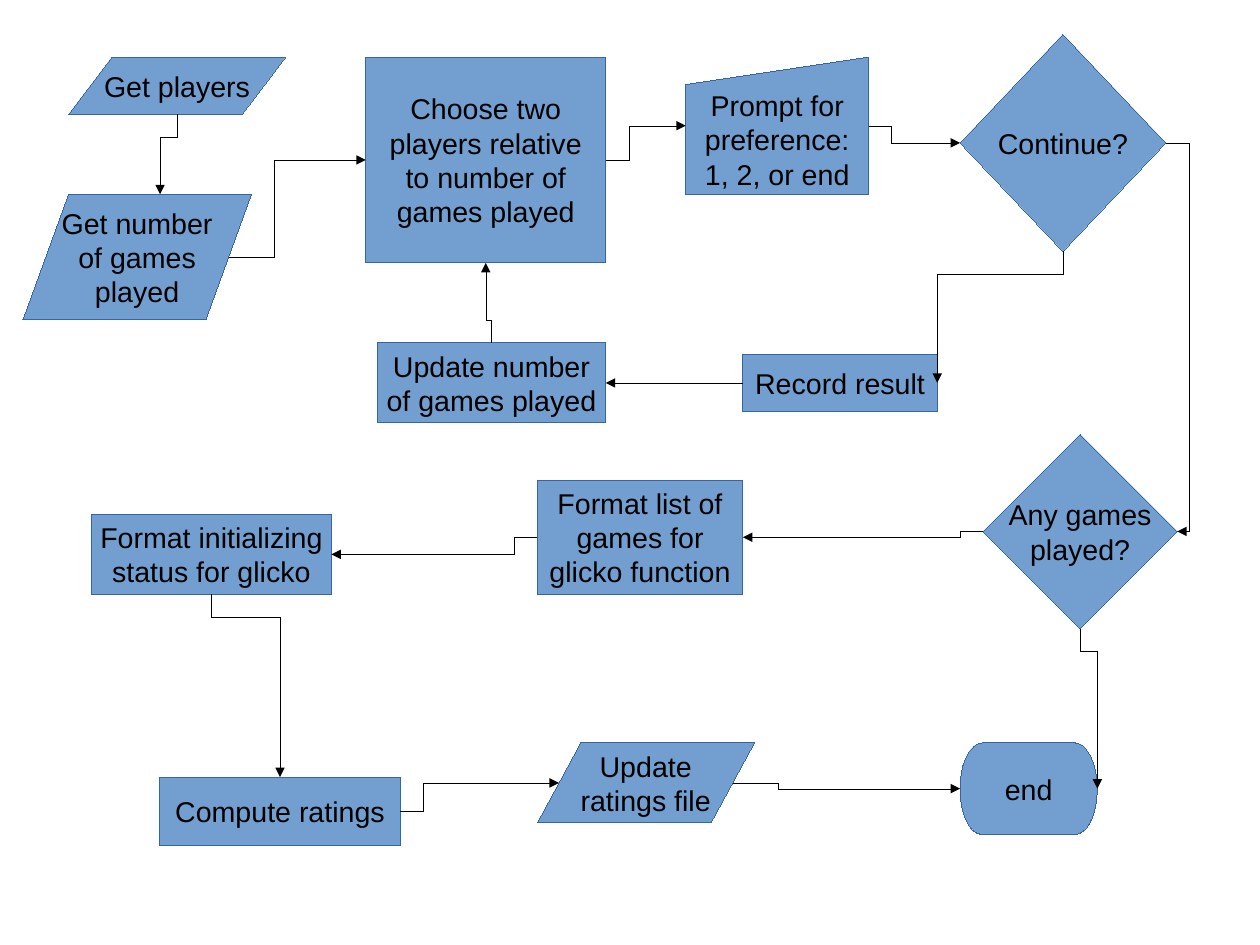
from lxml import etree
from pptx import Presentation
from pptx.dml.color import RGBColor
from pptx.enum.shapes import MSO_CONNECTOR, MSO_SHAPE
from pptx.enum.text import MSO_ANCHOR, PP_ALIGN
from pptx.oxml.ns import qn
from pptx.util import Cm, Inches, Pt

PROCESS = MSO_SHAPE.FLOWCHART_PROCESS
DATA = MSO_SHAPE.FLOWCHART_DATA
MANUAL_INPUT = MSO_SHAPE.FLOWCHART_MANUAL_INPUT
DECISION = MSO_SHAPE.FLOWCHART_DECISION
DIAMOND = MSO_SHAPE.DIAMOND
TERMINATOR = MSO_SHAPE.FLOWCHART_TERMINATOR
ELBOW, STRAIGHT = MSO_CONNECTOR.ELBOW, MSO_CONNECTOR.STRAIGHT
CENTER, MIDDLE = PP_ALIGN.CENTER, MSO_ANCHOR.MIDDLE

CELL = Inches(0.1)  # grid cell
FILL, OUTLINE, INK = "729FCF", "3465A4", "000000"

# Points on a step's edge, as shares of its width and height
TOP, LEFT, BOTTOM, RIGHT = (0.5, 0), (0, 0.5), (0.5, 1), (1, 0.5)
SLANT_TOP, SLANT_LEFT, SLANT_RIGHT = (0.6, 0), (0.1, 0.5), (0.9, 0.5)

# Step: kind, (column, row, columns wide, rows high), lines of text
SETUP_STEPS = {
    "players": (DATA, (6, 5, 19, 5), ["Get players"]),
    "game count": (DATA, (2, 17, 20, 11), ["Get number", "of games", "played"]),
}
GAME_STEPS = {
    "choose": (PROCESS, (32, 5, 21, 18),
               ["Choose two", "players relative", "to number of", "games played"]),
    "prompt": (MANUAL_INPUT, (60, 5, 16, 12),
               ["Prompt for", "preference:", "1, 2, or end"]),
    "continue": (DECISION, (84, 3, 18, 19), ["Continue?"]),
    "record": (PROCESS, (65, 31, 17, 5), ["Record result"]),
    "update count": (PROCESS, (33, 30, 20, 7), ["Update number", "of games played"]),
}
RATING_STEPS = {
    "any games": (DIAMOND, (86, 38, 17, 17), ["Any games", "played?"]),
    "games list": (PROCESS, (47, 42, 18, 10),
                   ["Format list of", "games for", "glicko function"]),
    "status": (PROCESS, (8, 45, 21, 7), ["Format initializing", "status for glicko"]),
    "compute": (PROCESS, (14, 68, 21, 6), ["Compute ratings"]),
    "update file": (DATA, (47, 65, 19, 7), ["Update", "ratings file"]),
    "end": (TERMINATOR, (84, 65, 12, 8), ["end"]),
}

# Flow: start step, its edge point, end step, its edge point, cells before the bend
FLOWS = [
    ("players", BOTTOM, "game count", SLANT_TOP, 2),
    ("game count", SLANT_RIGHT, "choose", LEFT, 4),
    ("choose", RIGHT, "prompt", LEFT, 2),
    ("prompt", RIGHT, "continue", LEFT, 2),
    ("continue", BOTTOM, "record", RIGHT, 2),
    ("continue", RIGHT, "any games", RIGHT, 2),
    ("update count", TOP, "choose", BOTTOM, 2),
    ("any games", LEFT, "games list", RIGHT, 2),
    ("any games", BOTTOM, "end", RIGHT, 2),
    ("games list", LEFT, "status", RIGHT, 2),
    ("status", BOTTOM, "compute", TOP, 2),
    ("compute", RIGHT, "update file", SLANT_LEFT, 2),
    ("update file", SLANT_RIGHT, "end", LEFT, 4),
]


def color(hex_string):
    return RGBColor.from_string(hex_string)


def draw_hairline(line, hex_string):
    """Colour a line and write its zero width, which the theme would replace."""
    line.color.rgb = color(hex_string)
    outline = line._get_or_add_ln()
    outline.set("w", "0")
    return outline


def draw_step(slide, kind, box, lines):
    step = slide.shapes.add_shape(kind, *(CELL * cells for cells in box))
    step.shadow.inherit = False
    step.fill.solid()
    step.fill.fore_color.rgb = color(FILL)
    draw_hairline(step.line, OUTLINE)
    frame = step.text_frame
    frame.word_wrap = False
    frame.vertical_anchor = MIDDLE
    label = frame.paragraphs[0]
    label.text = "\v".join(lines)
    label.alignment = CENTER
    label.font.name = "Arial"
    label.font.size = Pt(18)
    label.font.color.rgb = color(INK)
    return step


def draw_steps(slide, steps):
    return {name: draw_step(slide, *step) for name, step in steps.items()}


def edge_point(step, shares):
    return (round(step.left + step.width * shares[0]),
            round(step.top + step.height * shares[1]))


def draw_arrow(slide, kind, start, end):
    arrow = slide.shapes.add_connector(kind, *start, *end)
    outline = draw_hairline(arrow.line, INK)
    etree.SubElement(outline, qn("a:tailEnd"), type="triangle")
    etree.SubElement(arrow._element.spPr, qn("a:effectLst"))
    return arrow


def turn_upright(arrow, start, end):
    """Make the elbow leave its start vertically."""
    dx, dy = end[0] - start[0], end[1] - start[1]
    arrow.width, arrow.height = abs(dy), abs(dx)
    arrow.left = (start[0] + end[0] - abs(dy)) // 2
    arrow.top = (start[1] + end[1] - abs(dx)) // 2
    frame = arrow._element.spPr.find(qn("a:xfrm"))
    downward_left = dy > 0 and dx <= 0
    frame.set("rot", "5400000" if downward_left else "16200000")
    frame.set("flipH", str(int(dy > 0 and dx > 0)))
    frame.set("flipV", str(int(dy < 0 and dx < 0)))


def draw_elbow(slide, start, end, upright, bend):
    arrow = draw_arrow(slide, ELBOW, start, end)
    if upright:
        turn_upright(arrow, start, end)
    share = round(100000 * bend * CELL / arrow.width)
    geometry = arrow._element.spPr.find(qn("a:prstGeom"))
    guides = geometry.find(qn("a:avLst"))
    etree.SubElement(guides, qn("a:gd"), name="adj1", fmla=f"val {share}")


def draw_flows(slide, steps):
    for source, exit_point, target, entry_point, bend in FLOWS:
        draw_elbow(slide, edge_point(steps[source], exit_point),
                   edge_point(steps[target], entry_point),
                   exit_point in (TOP, BOTTOM), bend)
    # Level link between two rectangles
    record, update = steps["record"], steps["update count"]
    link = draw_arrow(slide, STRAIGHT, edge_point(record, LEFT),
                      edge_point(update, RIGHT))
    link.begin_connect(record, 1)
    link.end_connect(update, 3)


def main():
    deck = Presentation()
    deck.slide_width, deck.slide_height = Cm(28), Cm(21)
    slide = deck.slides.add_slide(deck.slide_layouts[6])
    steps = {}
    for region in (SETUP_STEPS, GAME_STEPS, RATING_STEPS):
        steps.update(draw_steps(slide, region))
    draw_flows(slide, steps)
    deck.save("out.pptx")


if __name__ == "__main__":
    main()
